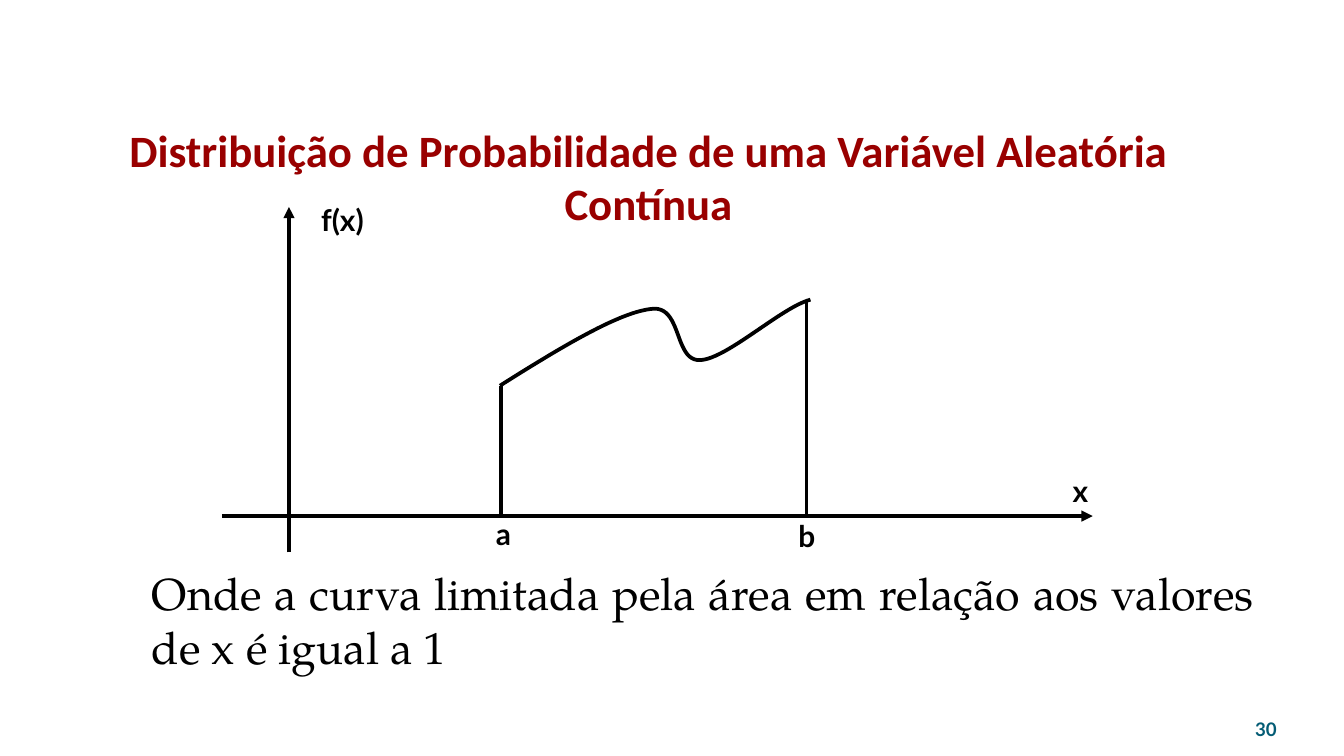
"""Build a slide on the probability distribution of a continuous random variable."""
from lxml.etree import SubElement
from pptx import Presentation
from pptx.dml.color import RGBColor
from pptx.enum.text import MSO_ANCHOR, PP_ALIGN
from pptx.oxml.ns import qn
from pptx.util import Inches, Pt

INK = "000000"
TEXT_INSETS = (0.09, 0.04, 0.09, 0.04)
TITLE = "Distribuição de Probabilidade de uma Variável Aleatória Contínua"
EXPLANATION = "Onde a curva limitada pela área em relação aos valores de x é igual a 1"
PAGE_NUMBER = "30"
LABELS = [
    ("f(x)", 2.3, 1.46, 0.63),
    ("x", 7.89, 3.48, 0.34),
    ("a", 3.6, 3.8, 0.33),
    ("b", 5.85, 3.81, 0.33),
]
AXES = [((2.15, 4.11), (2.15, 1.54)), ((1.65, 3.84), (8.13, 3.84))]
LIMITS = [((3.73, 3.83), (3.73, 2.87)), ((6, 3.84), (6, 2.25))]
CURVE_START = (3.72, 2.87)
CURVE_SEGMENTS = [
    ((4.15, 2.6), (4.59, 2.33), (4.84, 2.3)),
    ((5.08, 2.26), (5.01, 2.69), (5.21, 2.68)),
    ((5.41, 2.67), (5.81, 2.29), (6.03, 2.23)),
]
STEPS = 24


def color(value):
    return RGBColor.from_string(value)


def add_text(slide, text, box, font, size, ink=INK, bold=True, align=PP_ALIGN.LEFT,
             anchor=MSO_ANCHOR.TOP, insets=TEXT_INSETS):
    frame = slide.shapes.add_textbox(*map(Inches, box)).text_frame
    frame.text = text
    frame.word_wrap = True
    frame.vertical_anchor = anchor
    (frame.margin_left, frame.margin_top,
     frame.margin_right, frame.margin_bottom) = map(Inches, insets)
    paragraph = frame.paragraphs[0]
    paragraph.alignment = align
    run_font = paragraph.runs[0].font
    run_font.name, run_font.size, run_font.bold = font, Pt(size), bold
    run_font.color.rgb = color(ink)


def style_line(line):
    line.color.rgb = color(INK)
    line.width = Pt(2)


def add_line(slide, start, end, arrow=False):
    connector = slide.shapes.add_connector(1, *map(Inches, (*start, *end)))
    style_line(connector.line)
    properties = connector._element.spPr
    if arrow:
        SubElement(properties.find(qn("a:ln")), qn("a:tailEnd"), type="triangle")
    SubElement(properties, qn("a:effectLst"))


def bezier_point(points, t):
    weights = ((1 - t) ** 3, 3 * t * (1 - t) ** 2, 3 * t**2 * (1 - t), t**3)
    return tuple(Inches(sum(w * p[axis] for w, p in zip(weights, points)))
                 for axis in (0, 1))


def add_curve(slide):
    start, outline = CURVE_START, []
    for segment in CURVE_SEGMENTS:
        outline += [bezier_point((start, *segment), step / STEPS)
                    for step in range(1, STEPS + 1)]
        start = segment[-1]
    builder = slide.shapes.build_freeform(*map(Inches, CURVE_START))
    builder.add_line_segments(outline, close=False)
    density = builder.convert_to_shape()
    density.shadow.inherit = False
    density.fill.background()
    style_line(density.line)


def main():
    presentation = Presentation()
    presentation.slide_width = Inches(10)
    presentation.slide_height = presentation.slide_width * 9 // 16
    slide = presentation.slides.add_slide(presentation.slide_layouts[6])
    add_text(slide, TITLE, (0.84, 0.48, 7.97, 1.23), "Calibri", 24, "990000",
             align=PP_ALIGN.CENTER, anchor=MSO_ANCHOR.BOTTOM, insets=(0, 0.04, 0, 0))
    add_text(slide, EXPLANATION, (1.04, 4.17, 8.38, 0.83), "TeX Gyre Pagella", 24,
             bold=False, align=PP_ALIGN.JUSTIFY)
    for start, end in AXES:
        add_line(slide, start, end, arrow=True)
    for start, end in LIMITS:
        add_line(slide, start, end)
    add_curve(slide)
    for text, left, top, width in LABELS:
        add_text(slide, text, (left, top, width, 0.3), "Lato", 16)
    add_text(slide, PAGE_NUMBER, (8.67, 5.21, 0.83, 0.3), "Lato", 10, "045C75",
             align=PP_ALIGN.RIGHT, anchor=MSO_ANCHOR.BOTTOM, insets=(0, 0, 0, 0))
    presentation.save("out.pptx")


if __name__ == "__main__":
    main()
